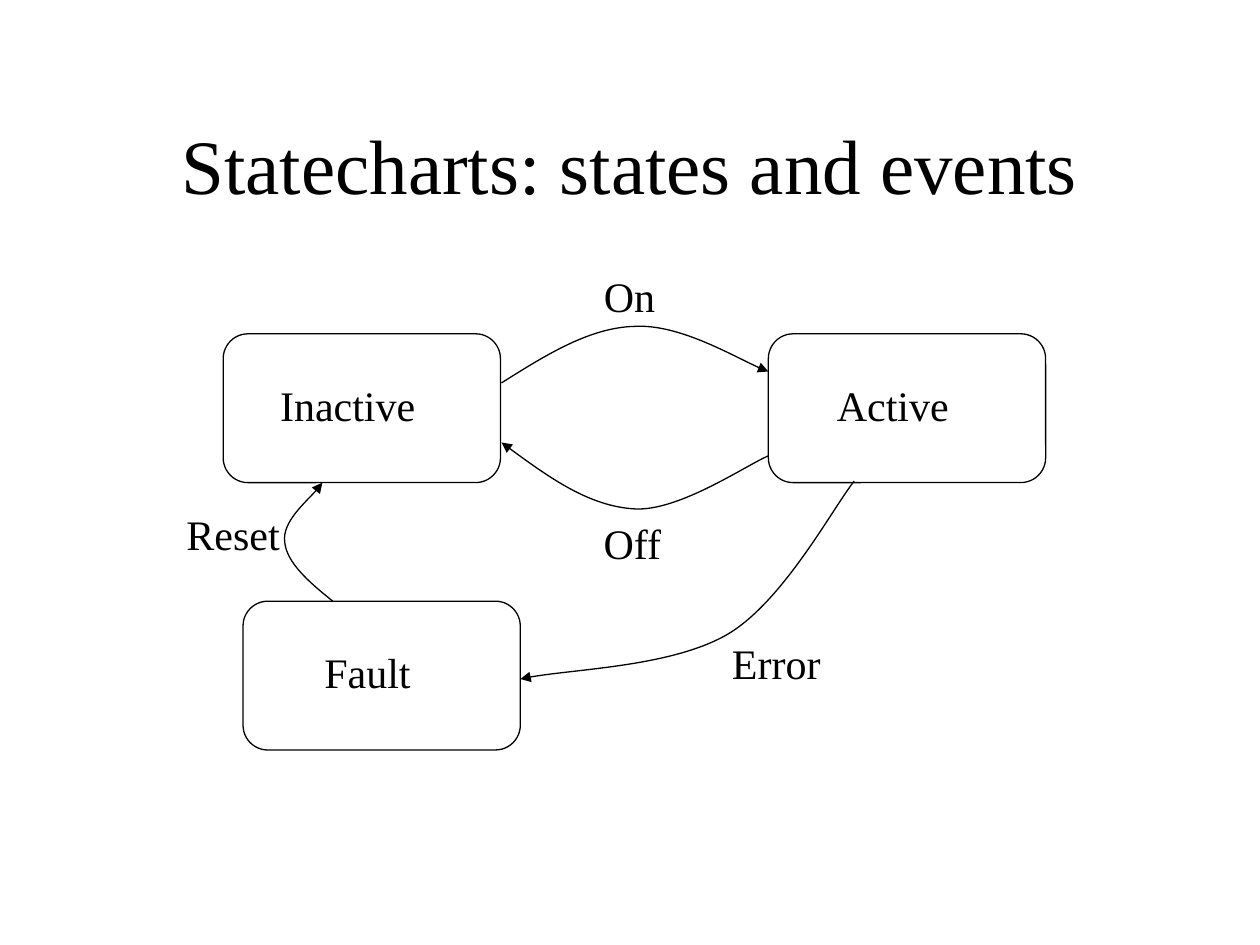
from lxml import etree
from pptx import Presentation
from pptx.dml.color import RGBColor
from pptx.enum.shapes import MSO_SHAPE
from pptx.enum.text import MSO_ANCHOR, MSO_AUTO_SIZE, PP_ALIGN
from pptx.oxml.ns import qn
from pptx.util import Cm, Pt

ROUNDED = MSO_SHAPE.ROUNDED_RECTANGLE
CENTER = PP_ALIGN.CENTER
MIDDLE = MSO_ANCHOR.MIDDLE
FIT_SHAPE = MSO_AUTO_SIZE.SHAPE_TO_FIT_TEXT

COLORS = {"ink": "000000"}
FONT = "Times New Roman"
STATE_W, STATE_H = 5.59, 3.0
LABEL_H = 1.27

# name, left, top, label width
STATES = [
    ("Inactive", 4.5, 6.73, 3.23),
    ("Active", 15.49, 6.73, 2.77),
    ("Fault", 4.9, 12.12, 2.24),
]

# event, label centre, label top, label width, two Bezier segments from source to target
EVENTS = [
    ("On", 12.69, 5.33, 1.55,
     [(10.11, 7.72), (11, 7.16), (11.89, 6.6), (12.8, 6.58),
      (13.69, 6.53), (15.06, 7.34), (15.49, 7.49)]),
    ("Off", 12.75, 10.31, 1.68,
     [(15.49, 9.19), (15.06, 9.37), (13.69, 10.31), (12.8, 10.26),
      (11.89, 10.21), (11, 9.58), (10.11, 8.92)]),
    ("Error", 15.65, 12.73, 2.29,
     [(17.22, 9.7), (16.79, 10.24), (15.8, 12.11), (14.68, 12.78),
      (13.56, 13.44), (11.35, 13.49), (10.49, 13.69)]),
    ("Reset", 4.7, 10.13, 2.39,
     [(6.71, 12.12), (6.22, 11.73), (5.77, 11.33), (5.74, 10.92),
      (5.69, 10.52), (6.38, 9.93), (6.5, 9.73)]),
]


def write(frame, text, size):
    frame.text = text
    paragraph = frame.paragraphs[0]
    paragraph.alignment = CENTER
    font = paragraph.runs[0].font
    font.name, font.size = FONT, Pt(size)
    font.color.rgb = RGBColor.from_string(COLORS["ink"])


def outline(shape):
    shape.shadow.inherit = False
    shape.fill.background()
    shape.line.color.rgb = RGBColor.from_string(COLORS["ink"])
    shape.line.width = Pt(0.75)


def add_label(shapes, text, center, top, width):
    label = shapes.add_textbox(Cm(center - width / 2), Cm(top), Cm(width), Cm(LABEL_H))
    label.text_frame.word_wrap = False
    label.text_frame.auto_size = FIT_SHAPE
    write(label.text_frame, text, 24)


def add_state(slide, name, left, top, label_width):
    state = slide.shapes.add_group_shape()
    box = state.shapes.add_shape(ROUNDED, Cm(left), Cm(top), Cm(STATE_W), Cm(STATE_H))
    outline(box)
    add_label(state.shapes, name, left + 2.51, top + 0.79, label_width)


def add_transition(slide, points):
    """Draw a curved arrow; the points after the first are taken three to a segment."""
    start, *rest = [(Cm(x), Cm(y)) for x, y in points]
    builder = slide.shapes.build_freeform(*start)
    builder.add_line_segments(rest, close=False)
    arrow = builder.convert_to_shape()
    outline(arrow)

    lines = list(arrow._element.iter(qn("a:lnTo")))
    for i in range(0, len(lines), 3):
        curve = etree.SubElement(lines[i].getparent(), qn("a:cubicBezTo"))
        for line in lines[i:i + 3]:
            curve.append(line[0])
            line.getparent().remove(line)

    line_xml = arrow._element.spPr.find(qn("a:ln"))
    etree.SubElement(line_xml, qn("a:tailEnd"), type="triangle")


def add_title(slide, text):
    title = slide.shapes.title
    title.left, title.top = Cm(1.9), Cm(1.7)
    title.width, title.height = Cm(21.6), Cm(3.18)
    title.text_frame.vertical_anchor = MIDDLE
    write(title.text_frame, text, 44)


def main():
    prs = Presentation()
    prs.slide_width, prs.slide_height = Cm(25.4), Cm(19.05)
    slide = prs.slides.add_slide(prs.slide_layouts[5])
    add_title(slide, "Statecharts: states and events")
    for state in STATES:
        add_state(slide, *state)
    for event, center, top, width, points in EVENTS:
        add_transition(slide, points)
        add_label(slide.shapes, event, center, top, width)
    prs.save("out.pptx")


if __name__ == "__main__":
    main()
